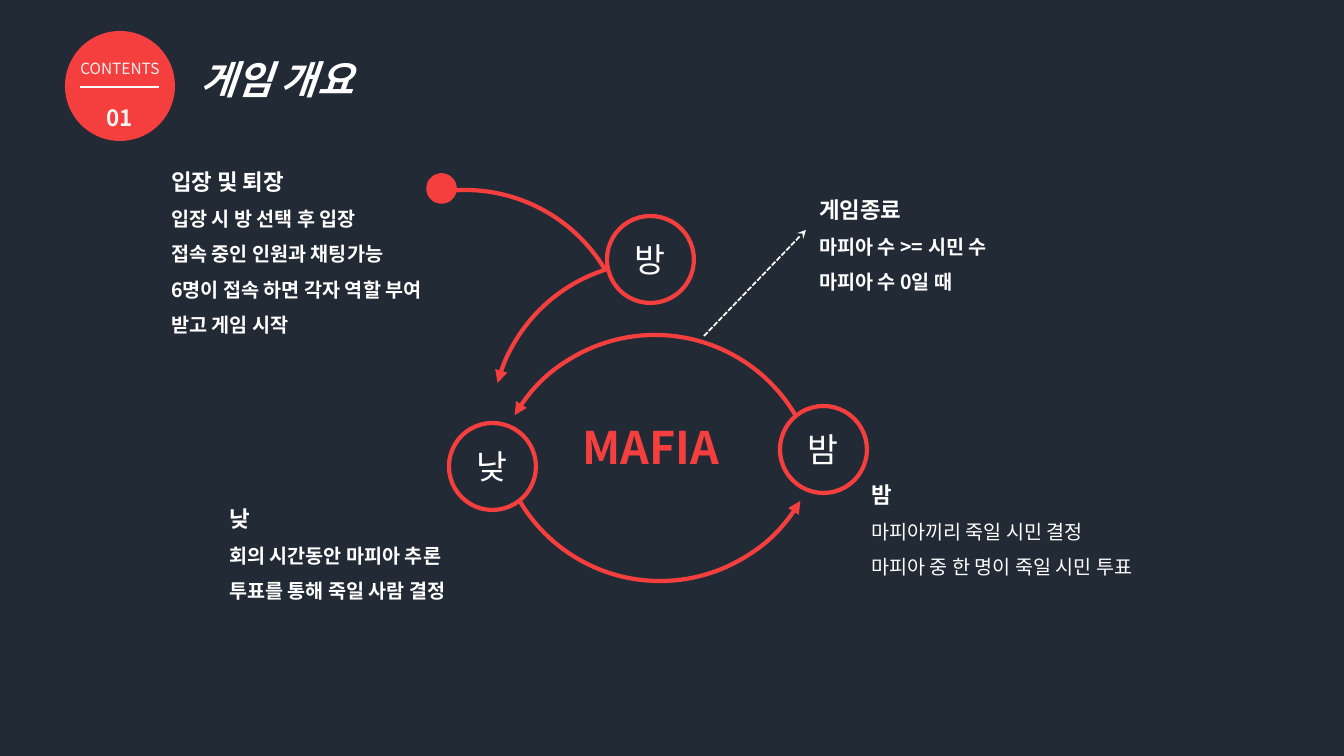
import pptx
import pptx.util
import pptx.dml.color
import pptx.enum.dml
import pptx.enum.shapes
import pptx.enum.text
import pptx.oxml
import pptx.oxml.ns

RGB = pptx.dml.color.RGBColor
NAVY = RGB(0x22, 0x2A, 0x35)
RED = RGB(0xF5, 0x3F, 0x3E)
WHITE = RGB(0xFF, 0xFF, 0xFF)
PALE = RGB(0xF2, 0xF2, 0xF2)

SHAPE = pptx.enum.shapes.MSO_SHAPE
ALIGN = pptx.enum.text.PP_ALIGN
ANCHOR = pptx.enum.text.MSO_ANCHOR
GROW = pptx.enum.text.MSO_AUTO_SIZE.SHAPE_TO_FIT_TEXT
SYS_DASH = pptx.enum.dml.MSO_LINE.SQUARE_DOT
qn = pptx.oxml.ns.qn

EMU_PER_PX = 914400 / 100.8
NODE = 87
ORBIT = 326


def px(length):
    return pptx.util.Emu(round(length * EMU_PER_PX))


def add_xml(parent, tag, **attributes):
    child = parent.makeelement(qn(tag), attributes)
    parent.append(child)


class Deck:
    font = "Noto Sans CJK KR"

    def __init__(self):
        self.prs = pptx.Presentation()
        self.prs.slide_width = px(1344)
        self.prs.slide_height = px(756)
        comparison = self.prs.slide_layouts[4]
        self.slide = self.prs.slides.add_slide(comparison)
        background = self.slide.background.fill
        background.solid()
        background.fore_color.rgb = NAVY

    def add_text(self, paragraph, text, size, color=WHITE, bold=False, italic=False,
                 align=ALIGN.LEFT, spacing=1.0):
        paragraph.alignment = align
        paragraph.line_spacing = spacing
        paragraph.space_before = pptx.util.Pt(0)
        run = paragraph.add_run()
        run.text = text
        run.font.size = pptx.util.Pt(size)
        run.font.bold = bold
        run.font.italic = italic
        run.font.color.rgb = color
        run.font.name = self.font
        add_xml(run._r.get_or_add_rPr(), "a:ea", typeface=self.font)

    def place(self, holder, left, top, width, height, wrap=True):
        """Move a text holder and return its top-anchored frame."""
        holder.left, holder.top = px(left), px(top)
        holder.width, holder.height = px(width), px(height)
        frame = holder.text_frame
        frame.word_wrap = wrap
        frame.auto_size = GROW
        frame.vertical_anchor = ANCHOR.TOP
        return frame

    def title(self, text, *box):
        frame = self.place(self.slide.shapes.title, *box)
        self.add_text(frame.paragraphs[0], text, 28, bold=True, italic=True, spacing=1.5)

    def phase(self, idx, heading, details, box, bold_details=True):
        """Fill a body placeholder with a heading and its unbulleted lines."""
        frame = self.place(self.slide.placeholders[idx], *box)
        for row, text in enumerate([heading, *details]):
            paragraph = frame.add_paragraph() if row else frame.paragraphs[0]
            self.add_text(paragraph, text, 14 if row else 16,
                          bold=bold_details or not row, spacing=1.5)
            properties = paragraph._p.get_or_add_pPr()
            properties.set("marL", "0")
            properties.set("indent", "0")
            add_xml(properties, "a:buNone")

    def label(self, text, size, color, *box):
        holder = self.slide.shapes.add_textbox(0, 0, 0, 0)
        frame = self.place(holder, *box, wrap=False)
        self.add_text(frame.paragraphs[0], text, size, color, bold=True, align=ALIGN.CENTER)

    def outline(self, line, color, width):
        line.color.rgb = color
        line.width = pptx.util.Pt(width)

    def circle(self, left, top, size, fill=None, line_width=0):
        disc = self.slide.shapes.add_shape(SHAPE.OVAL, px(left), px(top), px(size), px(size))
        disc.shadow.inherit = False
        if fill is None:
            disc.fill.background()
        else:
            disc.fill.solid()
            disc.fill.fore_color.rgb = fill
        if line_width:
            self.outline(disc.line, RED, line_width)
        else:
            disc.line.fill.background()
        disc.text_frame.vertical_anchor = ANCHOR.MIDDLE
        return disc

    def node(self, text, left, top):
        ring = self.circle(left, top, NODE, line_width=3)
        self.add_text(ring.text_frame.paragraphs[0], text, 24, align=ALIGN.CENTER)

    def badge(self, left, top, size, caption, number):
        frame = self.circle(left, top, size, fill=RED).text_frame
        frame.word_wrap = False
        self.add_text(frame.paragraphs[0], caption, 11, PALE, align=ALIGN.CENTER, spacing=2.0)
        self.add_text(frame.add_paragraph(), number, 16, PALE, bold=True,
                      align=ALIGN.CENTER, spacing=2.0)

    def arc(self, left, top, start, end, arrow=True):
        """Draw part of a circle, clockwise in degrees, with the arrow at its start."""
        curve = self.slide.shapes.add_shape(SHAPE.ARC, px(left), px(top), px(ORBIT), px(ORBIT))
        curve.shadow.inherit = False
        curve.fill.background()
        # Angles are stored as 60000ths of a degree, adjustments as 100000ths.
        curve.adjustments[0] = start * 0.6
        curve.adjustments[1] = end * 0.6
        self.outline(curve.line, RED, 3)
        if arrow:
            add_xml(curve._element.spPr.find(qn("a:ln")), "a:headEnd", type="triangle")

    def line(self, x1, y1, x2, y2, dashed_arrow=False):
        straight = pptx.enum.shapes.MSO_CONNECTOR.STRAIGHT
        rule = self.slide.shapes.add_connector(straight, px(x1), px(y1), px(x2), px(y2))
        self.outline(rule.line, WHITE, 1.25)
        properties = rule._element.spPr
        if dashed_arrow:
            rule.line.dash_style = SYS_DASH
            add_xml(properties.find(qn("a:ln")), "a:tailEnd", type="stealth")
        add_xml(properties, "a:effectLst")


def main():
    deck = Deck()
    deck.title("게임 개요", 190, 27, 498, 73)
    deck.badge(65, 31, 110, "CONTENTS", "01")
    deck.line(80, 87, 159, 87)

    deck.arc(302, 190, 266.72, 329.45, arrow=False)
    deck.arc(492, 262, 194.95, 252.32)
    deck.arc(492, 335, 210.55, 329.78)
    deck.arc(497, 255, 30.55, 149.78)
    deck.circle(432, 179, 19, fill=RED, line_width=8.5)
    for name, left, top in [("방", 607, 216), ("낮", 449, 423), ("밤", 780, 406)]:
        deck.node(name, left, top)
    deck.label("MAFIA", 32, RED, 568, 415, 165, 65)
    deck.line(704, 336, 806, 230, dashed_arrow=True)

    deck.phase(1, "입장 및 퇴장",
               ["입장 시 방 선택 후 입장", "접속 중인 인원과 채팅가능",
                "6명이 접속 하면 각자 역할 부여 받고 게임 시작"],
               (161, 150, 291, 218))
    deck.phase(2, "낮", ["회의 시간동안 마피아 추론", "투표를 통해 죽일 사람 결정"],
               (219, 487, 320, 146))
    deck.phase(3, "밤", ["마피아끼리 죽일 시민 결정", "마피아 중 한 명이 죽일 시민 투표"],
               (861, 463, 320, 118), bold_details=False)
    deck.phase(4, "게임종료", ["마피아 수 >= 시민 수", "마피아 수 0일 때"],
               (809, 178, 320, 118))
    deck.prs.save("out.pptx")


if __name__ == "__main__":
    main()
